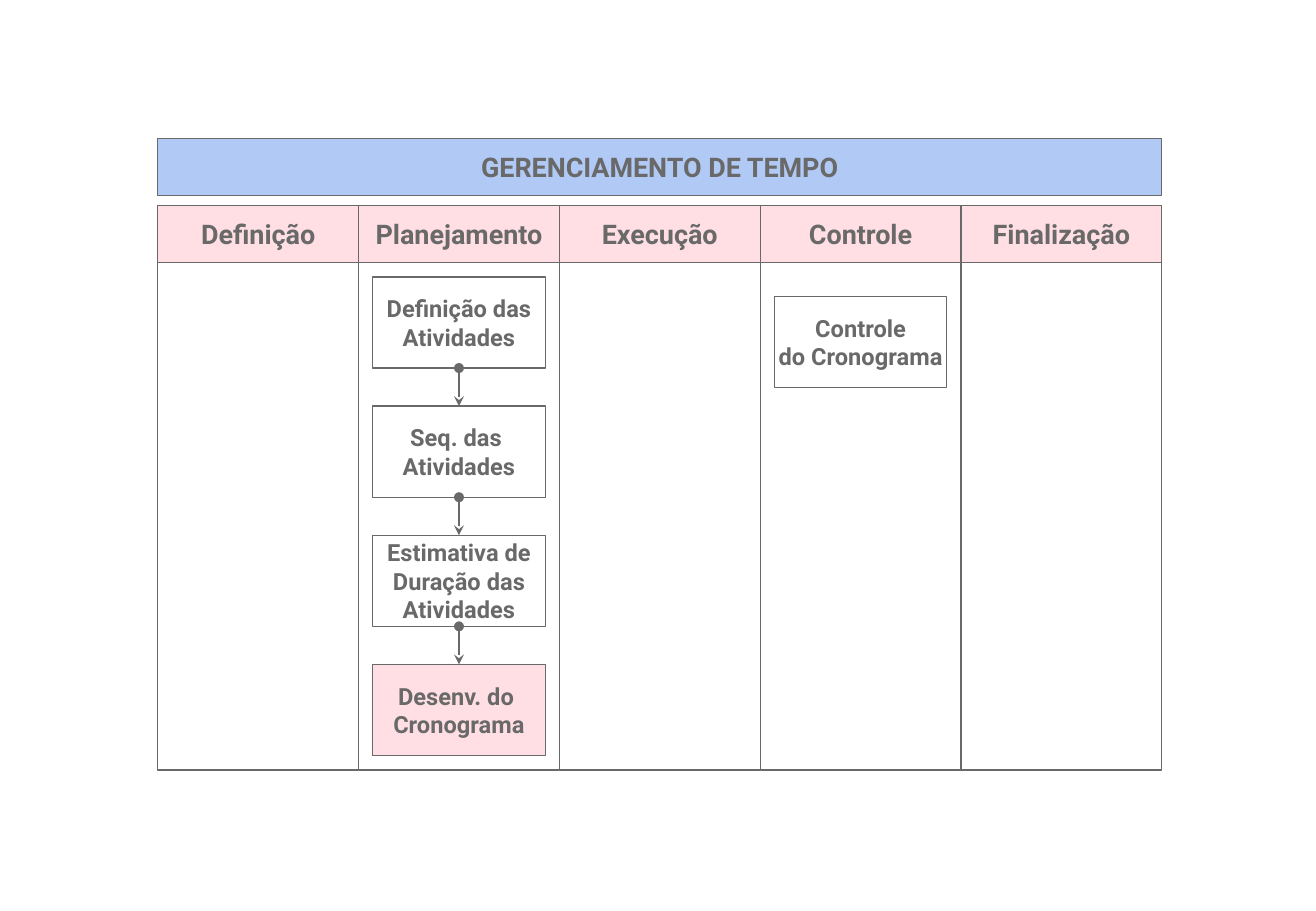
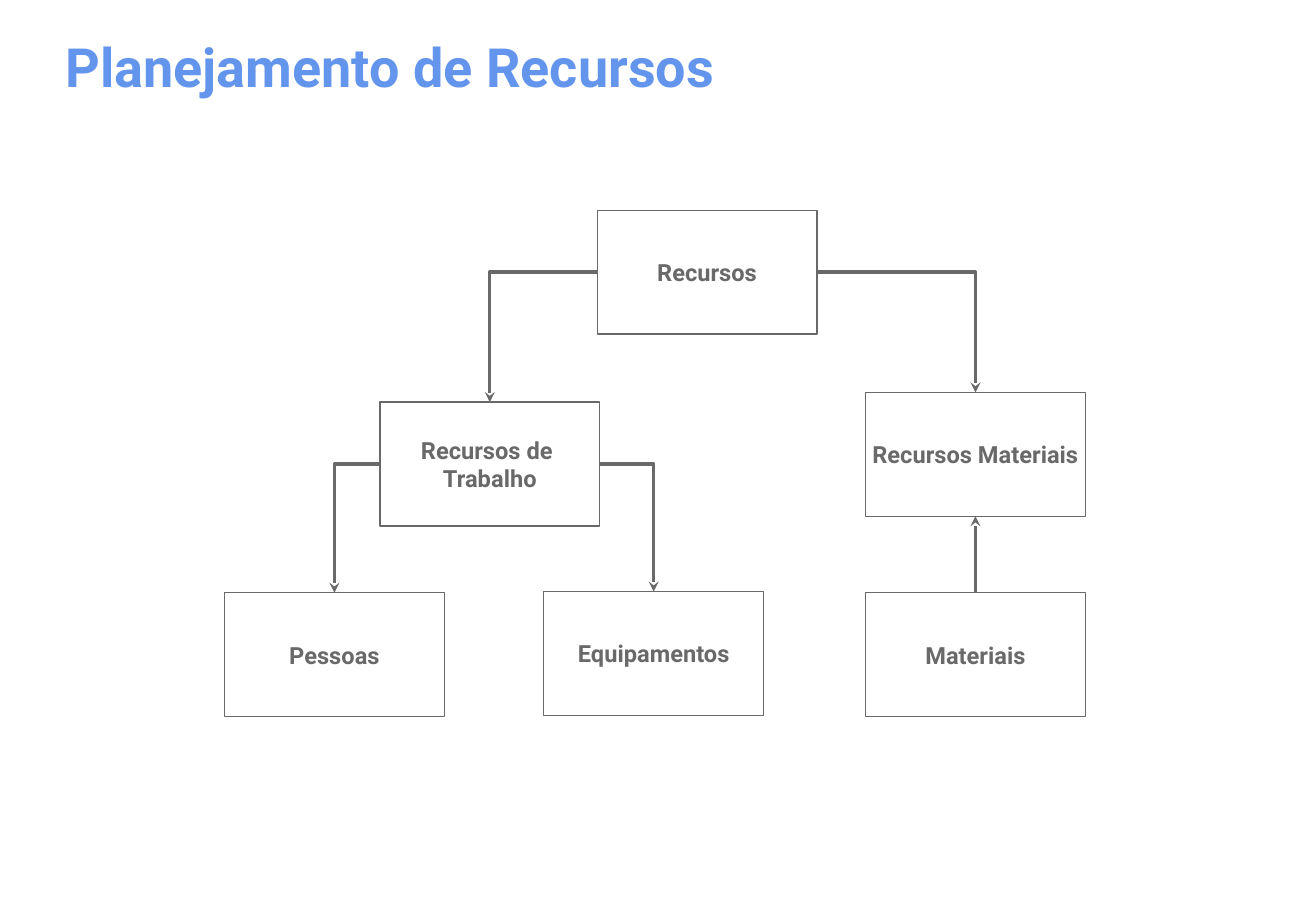
from dataclasses import dataclass

from lxml.etree import SubElement
from pptx import Presentation
from pptx.dml.color import RGBColor
from pptx.enum.shapes import MSO_CONNECTOR as Link, MSO_SHAPE as Shape
from pptx.enum.text import MSO_ANCHOR as Anchor, PP_ALIGN as Align
from pptx.oxml.ns import qn
from pptx.shapes.autoshape import Shape as Auto
from pptx.slide import Slide
from pptx.text.text import TextFrame
from pptx.util import Inches, Pt

FONT = "Roboto"
GREY, WHITE, PINK, BLUE = "696969", "FFFFFF", "FFC0CB", "6495ED"
TOP, LEFT, BOTTOM, RIGHT = range(4)  # connection sites of a rectangle


@dataclass
class Box:
    x: float
    y: float
    w: float
    h: float
    text: str = ""
    size: int = 14
    fill: str = WHITE
    alpha: int = 100


@dataclass
class Arrow:
    start: str
    out: int
    end: str
    into: int


def rgb(code: str) -> RGBColor:
    return RGBColor.from_string(code)


def write(frame: TextFrame, text: str, size: int, color: str, align: Align) -> None:
    frame.vertical_anchor = Anchor.MIDDLE
    para = frame.paragraphs[0]
    para.alignment = align
    for i, line in enumerate(text.split("\n")):
        if i:
            para.add_line_break()
        run = para.add_run()
        run.text = line
        font = run.font
        font.name, font.size, font.bold = FONT, Pt(size), True
        font.color.rgb = rgb(color)


def draw(slide: Slide, box: Box) -> Auto:
    rect = slide.shapes.add_shape(
        Shape.RECTANGLE, Inches(box.x), Inches(box.y), Inches(box.w), Inches(box.h))
    rect.shadow.inherit = False
    rect.fill.solid()
    rect.fill.fore_color.rgb = rgb(box.fill)
    if box.alpha < 100:
        tone = rect._element.spPr.find(qn("a:solidFill"))[0]
        SubElement(tone, qn("a:alpha")).set("val", str(box.alpha * 1000))
    rect.line.color.rgb = rgb(GREY)
    rect.line.width = Pt(0)
    if box.text:
        rect.text_frame.word_wrap = False
        write(rect.text_frame, box.text, box.size, GREY, Align.CENTER)
    return rect


def join(slide: Slide, start: Auto, out: int, end: Auto, into: int,
         width: float = 0, dot: bool = False) -> None:
    """Draw an arrow between two boxes, bent once if it leaves sideways."""
    bent = out in (LEFT, RIGHT)
    link = slide.shapes.add_connector(Link.ELBOW if bent else Link.STRAIGHT, 0, 0, 0, 0)
    link.begin_connect(start, out)
    link.end_connect(end, into)
    link.line.color.rgb = rgb(GREY)
    link.line.width = Pt(width)
    props = link._element.spPr
    if bent:
        props.find(qn("a:prstGeom")).set("prst", "bentConnector2")
    line = props.find(qn("a:ln"))
    if dot:
        SubElement(line, qn("a:headEnd")).set("type", "oval")
    SubElement(line, qn("a:tailEnd")).set("type", "stealth")
    SubElement(props, qn("a:effectLst"))


def add_title(slide: Slide, text: str) -> None:
    area = slide.shapes.add_textbox(Inches(0.54), Inches(0.28), Inches(9.75), Inches(0.53))
    frame = area.text_frame
    frame.word_wrap = True
    frame.margin_left = frame.margin_right = frame.margin_top = frame.margin_bottom = 0
    write(frame, text, 32, BLUE, Align.LEFT)


def time_slide(slide: Slide) -> None:
    left, top, total, head = 1.3, 1.69, 8.27, 0.47
    phases = ["Definição", "Planejamento", "Execução", "Controle", "Finalização"]
    col = total / len(phases)
    draw(slide, Box(left, 1.14, total, head, "GERENCIAMENTO DE TEMPO", 16, BLUE, 50))
    for i, phase in enumerate(phases):
        x = left + i * col
        draw(slide, Box(x, top, col, 4.65))
        draw(slide, Box(x, top, col, head, phase, 16, PINK, 50))

    wide, high, first, last = 1.42, 0.75, 2.28, 5.47
    inset = (col - wide) / 2
    steps = ["Definição das\nAtividades", "Seq. das \nAtividades",
             "Estimativa de\nDuração das\nAtividades", "Desenv. do \nCronograma"]
    pitch = (last - first) / (len(steps) - 1)
    boxes = [Box(left + col + inset, first + i * pitch, wide, high, step)
             for i, step in enumerate(steps)]
    boxes[-1].fill, boxes[-1].alpha = PINK, 50
    rects = [draw(slide, box) for box in boxes]
    for above, below in zip(rects, rects[1:]):
        join(slide, above, BOTTOM, below, TOP, 1.42, dot=True)
    draw(slide, Box(left + 3 * col + inset, 2.44, wide, high, "Controle\ndo Cronograma"))


def tree_slide(slide: Slide) -> None:
    add_title(slide, "Planejamento de Recursos")
    places = {
        "Recursos": (4.92, 1.73),
        "Recursos de \nTrabalho": (3.13, 3.31),
        "Recursos Materiais": (7.13, 3.23),
        "Pessoas": (1.85, 4.88),
        "Equipamentos": (4.48, 4.87),
        "Materiais": (7.13, 4.88),
    }
    rects = {text: draw(slide, Box(x, y, 1.81, 1.02, text))
             for text, (x, y) in places.items()}
    root, work, goods, staff, gear, stock = places
    arrows = [
        Arrow(root, LEFT, work, TOP),
        Arrow(root, RIGHT, goods, TOP),
        Arrow(work, LEFT, staff, TOP),
        Arrow(work, RIGHT, gear, TOP),
        Arrow(stock, TOP, goods, BOTTOM),
    ]
    for arrow in arrows:
        join(slide, rects[arrow.start], arrow.out, rects[arrow.end], arrow.into)


def main() -> None:
    deck = Presentation()
    deck.slide_width, deck.slide_height = Inches(10.84), Inches(7.5)
    blank = deck.slide_layouts[6]
    for build in (time_slide, tree_slide):
        build(deck.slides.add_slide(blank))
    deck.save("out.pptx")


if __name__ == "__main__":
    main()
